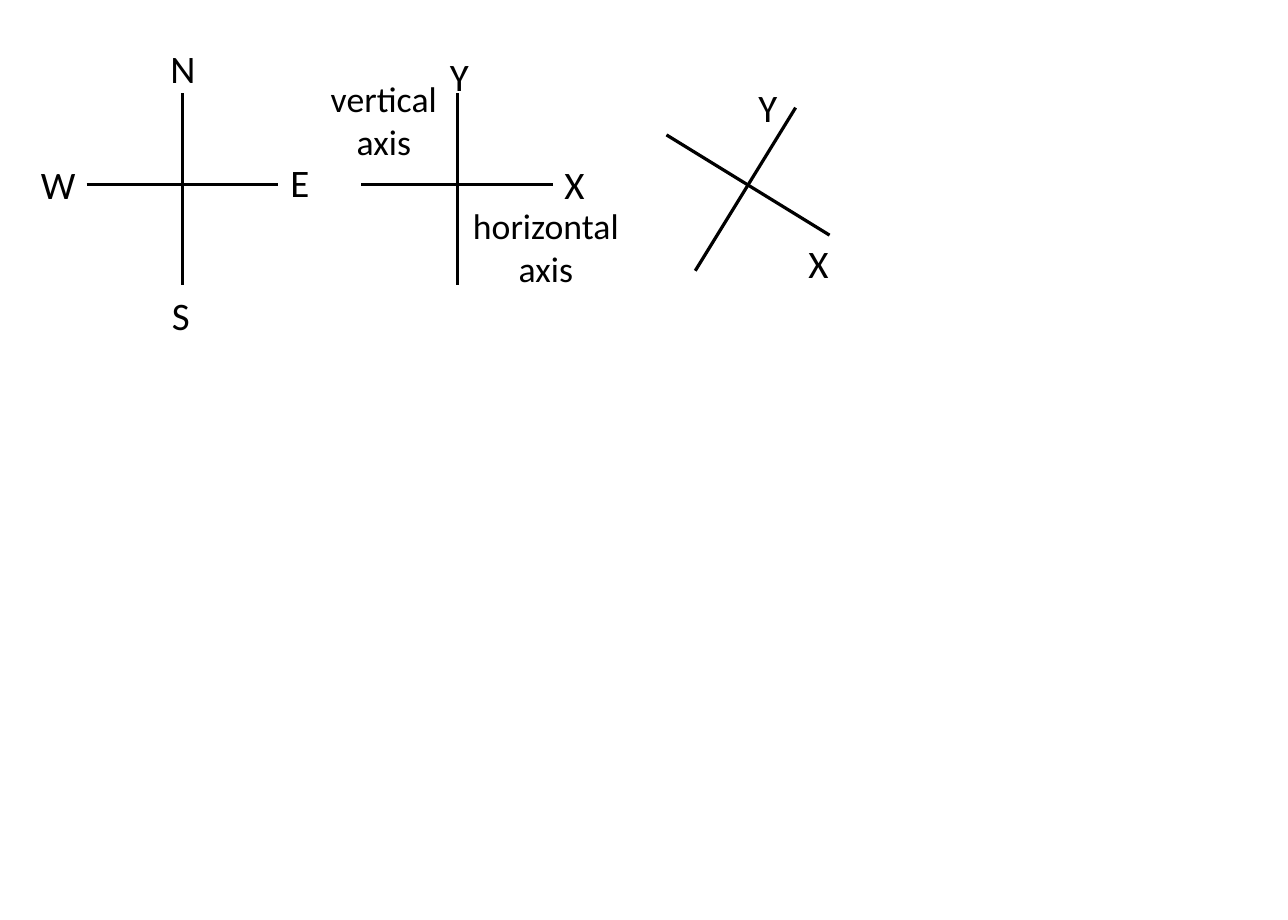
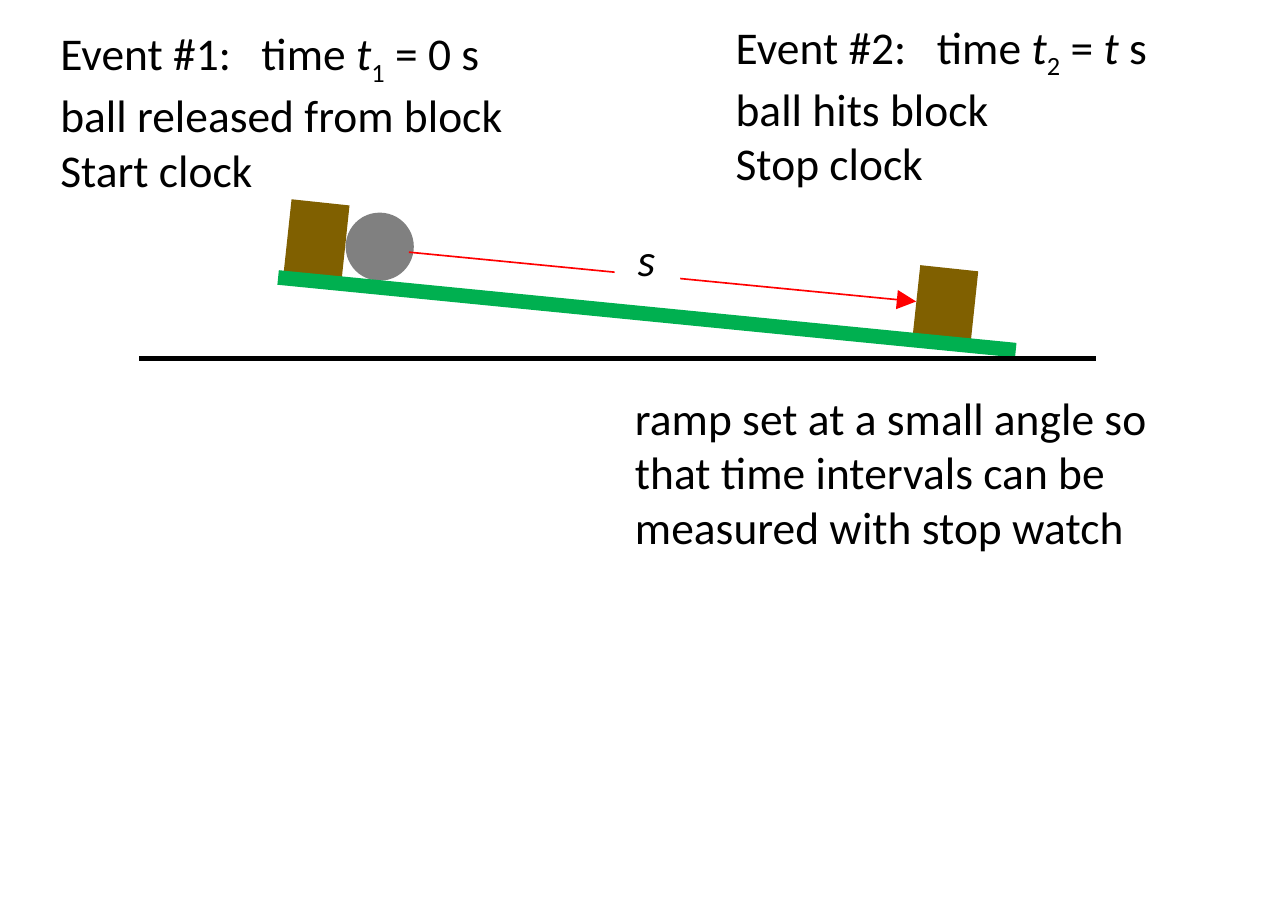
from math import cos, radians, sin
from pptx import Presentation
from pptx.dml.color import RGBColor as RGB
from pptx.enum.shapes import MSO_CONNECTOR as CONN, MSO_SHAPE as SHAPE
from pptx.enum.text import PP_ALIGN as ALIGN
from pptx.oxml.ns import qn
from pptx.util import Pt
from lxml.etree import SubElement

COLORS = {"ink": "000000", "paper": "FFFFFF", "ball": "808080",
          "block": "806000", "ramp": "00B050", "distance": "FF0000"}
FONT = "Calibri"
TAB = 62


def add_line(slide, x1, y1, x2, y2, color, width):
    line = slide.shapes.add_connector(CONN.STRAIGHT, Pt(x1), Pt(y1), Pt(x2), Pt(y2))
    line.line.color.rgb = RGB.from_string(COLORS[color])
    line.line.width = Pt(width)
    SubElement(line._element.spPr, qn("a:effectLst"))
    return line


def add_text(slide, x, y, w, h, size, lines, align=ALIGN.LEFT):
    tb = slide.shapes.add_textbox(Pt(x), Pt(y), Pt(w), Pt(h))
    tf = tb.text_frame
    tf.word_wrap = True
    for i, line in enumerate(lines):
        p = tf.paragraphs[0] if i == 0 else tf.add_paragraph()
        p.alignment = align
        if "\t" in line[0][0]:
            tabs = SubElement(p._p.get_or_add_pPr(), qn("a:tabLst"))
            SubElement(tabs, qn("a:tab"), pos=str(Pt(TAB)), algn="l")
        for text, style in line:
            r = p.add_run()
            r.text = text
            r.font.name = FONT
            r.font.size = Pt(size)
            r.font.color.rgb = RGB.from_string(COLORS["ink"])
            if style == "italic":
                r.font.italic = True
            if style == "sub":
                r._r.get_or_add_rPr().set("baseline", "-25000")
    return tb


prs = Presentation()
prs.slide_width, prs.slide_height = Pt(396.85), Pt(283.46)
blank = prs.slide_layouts[6]

s = prs.slides.add_slide(blank)
half, cy, rise = 29.5, 58.3, 1.5
for cx, angle in [(56.2, 0), (140.9, 0), (229.7, 31.6)]:
    c, n = cos(radians(angle)), sin(radians(angle))
    hx, hy = cx + rise * n, cy - rise * c
    dx, dy = half * c, half * n
    add_line(s, cx + dy, cy - dx, cx - dy, cy + dx, "ink", 1)
    add_line(s, hx - dx, hy - dy, hx + dx, hy + dy, "ink", 1)

for text, x, y in [("N", 45.4, 10.1), ("E", 82.4, 45.4), ("S", 45.9, 86.3),
                   ("W", 5.5, 45.9), ("Y", 131.5, 12.7), ("X", 166.8, 45.9),
                   ("Y", 226.6, 22.3), ("X", 242, 70.4)]:
    add_text(s, x, y, 26, 21.6, 12, [[(text, "")]])
for text, x, y, w in [("vertical axis", 92, 20.2, 52.6),
                      ("horizontal axis", 131.5, 59.4, 73.4)]:
    add_text(s, x, y, w, 33.8, 11, [[(text, "")]], ALIGN.CENTER)

s = prs.slides.add_slide(blank)
pieces = []
for kind, x, y, w, h, turn, color in [
        (SHAPE.OVAL, 106.5, 65.5, 21, 21, 0, "ball"),
        (SHAPE.RECTANGLE, 88.6, 62.3, 18, 22.3, 6.1, "block"),
        (SHAPE.RECTANGLE, 282.3, 82.6, 18, 22.3, 6.1, "block")]:
    sp = s.shapes.add_shape(kind, Pt(x), Pt(y), Pt(w), Pt(h))
    sp.rotation = turn
    sp.shadow.inherit = False
    sp.fill.solid()
    sp.fill.fore_color.rgb = RGB.from_string(COLORS[color])
    sp.line.fill.background()
    pieces.append(sp)
stop_block = pieces[-1]

add_line(s, 85.7, 85.5, 313, 107.9, "ramp", 4.5)
add_line(s, 43, 110.6, 337.6, 110.6, "ink", 1.5)

add_text(s, 11.5, 4.3, 160, 58.3, 14, [
    [("Event #1:\ttime ", ""), ("t", "italic"), ("1", "sub"), (" = 0 s", "")],
    [("ball released from block", "")],
    [("Start clock", "")]])
add_text(s, 219.6, 2.2, 160, 58.3, 14, [
    [("Event #2:\ttime ", ""), ("t", "italic"), ("2", "sub"), (" = ", ""),
     ("t", "italic"), (" s", "")],
    [("ball hits block", "")],
    [("Stop clock", "")]])

arrow = add_line(s, 126, 77.7, 282.3, 92.9, "distance", 0.5)
arrow.end_connect(stop_block, 1)
arrow.end_y = Pt(92.9)
SubElement(arrow.line._get_or_add_ln(), qn("a:tailEnd"), type="triangle")

tb = add_text(s, 189.4, 67.7, 20.2, 24.5, 14, [[("s", "italic")]])
tb.fill.solid()
tb.fill.fore_color.rgb = RGB.from_string(COLORS["paper"])

add_text(s, 188.6, 116.6, 182.9, 58.3, 14, [[(
    "ramp set at a small angle so that time intervals can be measured with stop watch", "")]])

prs.save("out.pptx")
